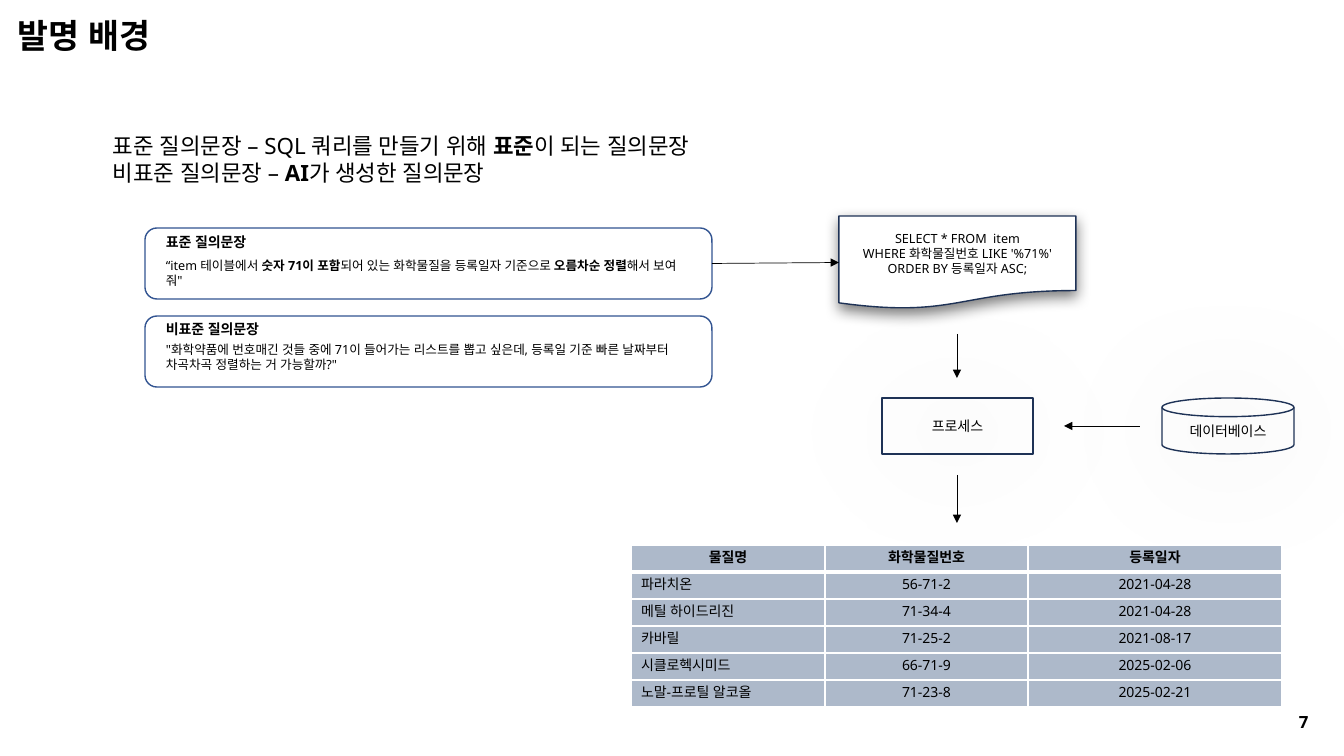
from lxml import etree
from pptx import Presentation
from pptx import util as u
from pptx.dml.color import RGBColor
from pptx.enum import shapes, text
from pptx.oxml import ns

PX = 914400 / 100.8
FONT = "Noto Sans"
BLACK = RGBColor(0x00, 0x00, 0x00)
WHITE = RGBColor(0xFF, 0xFF, 0xFF)
BLUE = RGBColor(0x32, 0x54, 0x91)
NAVY = RGBColor(0x1E, 0x32, 0x56)
STEEL = RGBColor(0xAD, 0xB9, 0xCA)
CENTER, LEFT = text.PP_ALIGN.CENTER, text.PP_ALIGN.LEFT


def px(*lengths):
    return [u.Emu(round(length * PX)) for length in lengths]


def sub(parent, tag, **attributes):
    return etree.SubElement(parent, ns.qn(tag), attributes)


def write(frame, lines, size, align=LEFT):
    """Each line is a list of (wording, bold) runs."""
    for index, runs in enumerate(lines):
        paragraph = frame.paragraphs[0] if index == 0 else frame.add_paragraph()
        paragraph.alignment = align
        paragraph.line_spacing = u.Pt(size * 1.2)
        for wording, bold in runs:
            run = paragraph.add_run()
            run.text = wording
            run.font.size = u.Pt(size)
            run.font.bold = bold
            run.font.color.rgb = BLACK
            run.font.name = FONT
            sub(run.font._element, "a:ea", typeface=FONT)


def add_text(slide, box, lines, size, wrap=True):
    shape = slide.shapes.add_textbox(*px(*box))
    shape.text_frame.word_wrap = wrap
    write(shape.text_frame, lines, size)


def add_box(slide, kind, box, line, fill=None):
    shape = slide.shapes.add_shape(kind, *px(*box))
    shape.shadow.inherit = False
    if fill is None:
        shape.fill.background()
    else:
        shape.fill.solid()
        shape.fill.fore_color.rgb = fill
    shape.line.color.rgb = line
    shape.line.width = u.Pt(1)
    return shape


def add_node(slide, kind, box, lines, size, opacity, blur, fill=None):
    """Flow step with centred text and a soft shadow below it."""
    shape = add_box(slide, kind, box, NAVY, fill)
    shape.text_frame.word_wrap = True
    shape.text_frame.vertical_anchor = text.MSO_ANCHOR.MIDDLE
    write(shape.text_frame, [[(line, False)] for line in lines], size, CENTER)
    effects = shape._element.spPr.find(ns.qn("a:effectLst"))
    shadow = sub(effects, "a:outerShdw", blurRad=str(u.Pt(blur)), dist=str(u.Pt(4)),
                 dir="5400000", algn="t", rotWithShape="0")
    color = sub(shadow, "a:srgbClr", val=str(BLACK))
    sub(color, "a:alpha", val=str(opacity * 1000))
    return shape


def add_arrow(slide, x1, y1, x2, y2):
    arrow = slide.shapes.add_connector(shapes.MSO_CONNECTOR.STRAIGHT, *px(x1, y1, x2, y2))
    arrow.line.color.rgb = BLACK
    arrow.line.width = u.Pt(0.5)
    sub(arrow.line._get_or_add_ln(), "a:tailEnd", type="triangle")
    sub(arrow._element.spPr, "a:effectLst")
    return arrow


def add_query(slide, box, label, runs, label_drop, text_drop, text_width):
    """Rounded box with a bold label and the question below it."""
    left, top, width, height = box
    add_text(slide, (left + 11, top + text_drop, text_width, 40), [runs], 9)
    add_text(slide, (left + 11, top + label_drop, 123, 27), [[(label, True)]], 10, wrap=False)
    return add_box(slide, shapes.MSO_SHAPE.ROUNDED_RECTANGLE, box, BLUE)


def add_flow(slide, box, query):
    """SQL document, process and database, joined by arrows."""
    left, top, width, height = box
    document = add_node(slide, shapes.MSO_SHAPE.FLOWCHART_DOCUMENT, (left, top, 237, 93),
                        ["SELECT * FROM  item", "WHERE 화학물질번호 LIKE '%71%'",
                         "ORDER BY 등록일자 ASC;"], 9, 50, 10, WHITE)
    step_top = top + 182
    add_node(slide, shapes.MSO_SHAPE.RECTANGLE, (left + 43, step_top, 151, 56),
             ["프로세스"], 10, 43, 100)
    add_node(slide, shapes.MSO_SHAPE.FLOWCHART_MAGNETIC_DISK,
             (left + width - 132, step_top, 132, 56), ["데이터베이스"], 10, 43, 100)
    axis, middle = left + 118, step_top + 28
    add_arrow(slide, axis, top + 118, axis, top + 162)
    add_arrow(slide, left + 301, middle, left + 225, middle)
    add_arrow(slide, axis, top + 259, axis, top + height)
    link = add_arrow(slide, left - 127, top + 46, left, top + 46)
    link.begin_connect(query, 3)
    link.end_connect(document, 1)


def style_cell(cell, row):
    cell.fill.solid()
    cell.fill.fore_color.rgb = STEEL
    cell.vertical_anchor = text.MSO_ANCHOR.MIDDLE
    widths = {"L": 1, "R": 1, "T": 3 if row == 1 else 1, "B": 3 if row == 0 else 1}
    properties = cell._tc.get_or_add_tcPr()
    for index, (side, points) in enumerate(widths.items()):
        border = sub(properties, f"a:ln{side}", w=str(u.Pt(points)))
        sub(sub(border, "a:solidFill"), "a:srgbClr", val=str(WHITE))
        properties.insert(index, border)


def add_results(slide, box, rows):
    table = slide.shapes.add_table(len(rows), 3, *px(*box)).table
    for column, width in zip(table.columns, px(194, 203, 254)):
        column.width = width
    for r, values in enumerate(rows):
        table.rows[r].height = px(box[3] / len(rows))[0]
        for c, value in enumerate(values):
            cell = table.cell(r, c)
            style_cell(cell, r)
            align = LEFT if r and c == 0 else CENTER
            write(cell.text_frame, [[(value, r == 0)]], 10, align)


def build_slide(presentation):
    slide = presentation.slides.add_slide(presentation.slide_layouts[6])

    # Queries
    query = add_query(slide, (145, 228, 567, 71), "표준 질의문장", [
        ("“item 테이블에서 ", False), ("숫자 71이 포함", True),
        ("되어 있는 화학물질을 등록일자 기준으로 ", False),
        ("오름차순 정렬", True), ("해서 보여줘\"", False)], 1, 25, 546)
    add_query(slide, (145, 316, 567, 71), "비표준 질의문장", [
        ("\"화학약품에 번호매긴 것들 중에 71이 들어가는 리스트를 뽑고 싶은데, "
         "등록일 기준 빠른 날짜부터 차곡차곡 정렬하는 거 가능할까?\"", False)], 0, 21, 529)

    # Flow and its result
    add_flow(slide, (839, 216, 455, 307), query)
    add_results(slide, (631, 545, 651, 162), [
        ("물질명", "화학물질번호", "등록일자"),
        ("파라치온", "56-71-2", "2021-04-28"),
        ("메틸 하이드리진", "71-34-4", "2021-04-28"),
        ("카바릴", "71-25-2", "2021-08-17"),
        ("시클로헥시미드", "66-71-9", "2025-02-06"),
        ("노말-프로틸 알코올", "71-23-8", "2025-02-21")])

    # Page number, title and definitions
    add_text(slide, (1289, 707, 47, 30), [[("7", True)]], 12)
    add_text(slide, (8, 10, 621, 50), [[("발명 배경", True)]], 24)
    add_text(slide, (103, 127, 736, 65), [
        [("표준 질의문장 – SQL 쿼리를 만들기 위해 ", False), ("표준", True),
         ("이 되는 질의문장", False)],
        [("비표준 질의문장 – ", False), ("AI", True), ("가 생성한 질의문장", False)]], 16)


def main():
    presentation = Presentation()
    presentation.slide_width, presentation.slide_height = px(1344, 756)
    build_slide(presentation)
    presentation.save("out.pptx")


if __name__ == "__main__":
    main()
